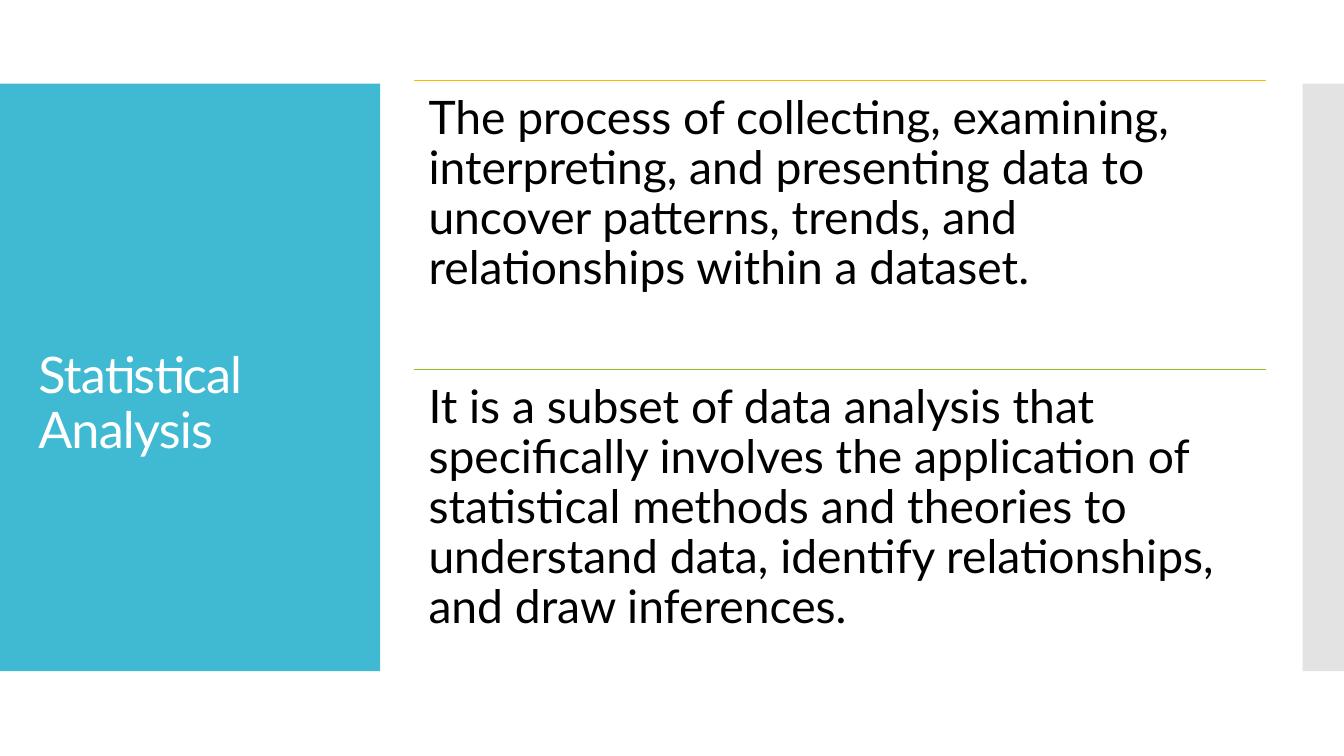
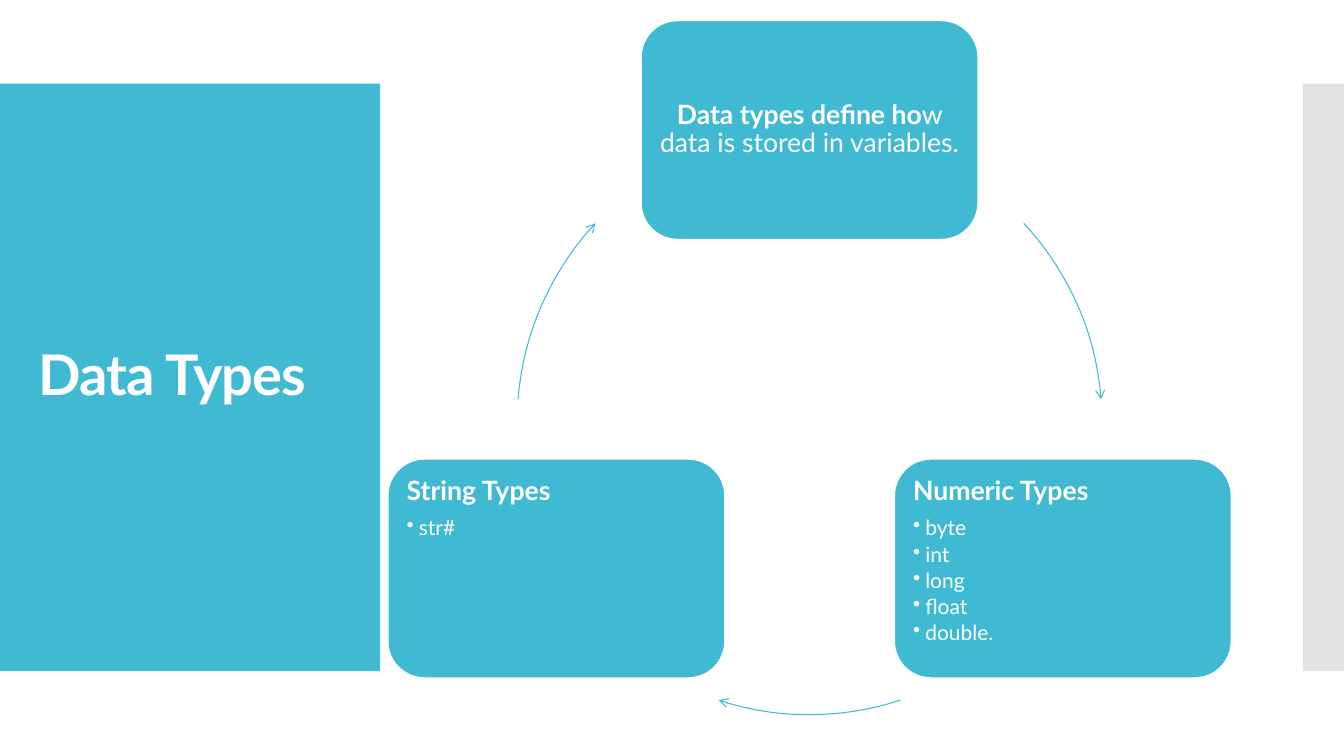
from dataclasses import dataclass
from math import cos, radians, sin

from lxml import etree
from pptx import Presentation
from pptx.dml.color import RGBColor
from pptx.enum.shapes import MSO_CONNECTOR, MSO_SHAPE
from pptx.enum.text import MSO_ANCHOR, MSO_AUTO_SIZE, PP_ALIGN
from pptx.oxml.ns import qn
from pptx.util import Inches, Pt

RECT, ROUND, ARC = MSO_SHAPE.RECTANGLE, MSO_SHAPE.ROUNDED_RECTANGLE, MSO_SHAPE.ARC
STRAIGHT = MSO_CONNECTOR.STRAIGHT
LEFT, CENTER = PP_ALIGN.LEFT, PP_ALIGN.CENTER
TOP, MIDDLE = MSO_ANCHOR.TOP, MSO_ANCHOR.MIDDLE
FIXED = MSO_AUTO_SIZE.NONE


@dataclass(frozen=True)
class Theme:
    """Colours, type sizes and line widths of the deck."""
    font: str = "Lato"
    teal: str = "40BAD2"
    grey: str = "C8C8C8"
    gold: str = "FAB900"
    green: str = "90BB23"
    white: str = "FFFFFF"
    black: str = "000000"
    body: int = 33
    head: int = 19
    item: int = 15
    rule: float = 0.85
    arc: float = 0.75
    leading: float = 0.9


THEME = Theme()
PANEL = (0, 0.83, 3.77, 5.83)
STRIP = (12.92, 0.83, 0.42, 5.83)
TITLE = (0.28, 1.23, 3.22, 5.03)
LIST = (4.11, 0.8, 8.45, 5.73)
CYCLE = (5.13, 1.29, 5.8, 5.8)
CARD = (3.34, 2.17)

POINTS = [
    (THEME.gold, "The process of collecting, examining, interpreting, and presenting "
                 "data to uncover patterns, trends, and relationships within a dataset."),
    (THEME.green, "It is a subset of data analysis that specifically involves the "
                  "application of statistical methods and theories to understand data, "
                  "identify relationships, and draw inferences."),
]
CARDS = [
    ("Data types define ho", "w data is stored in variables.", []),
    ("Numeric Types", "", ["byte", "int", "long", "float", "double."]),
    ("String Types", "", ["str#"]),
]
GAPS = [(47.1, 34.5), (41.9, 41.9), (34.5, 47.1)]


def color(code):
    """Turn a hex code into a colour."""
    return RGBColor.from_string(code)


def inches(box):
    """Turn a box of numbers into lengths."""
    return [Inches(side) for side in box]


def style(para, size, code, bold=False, after=0):
    """Format a paragraph and all its runs."""
    para.line_spacing = THEME.leading
    para.space_before, para.space_after = Pt(0), Pt(after)
    for run in para.runs:
        font = run.font
        font.name, font.size, font.bold = THEME.font, Pt(size), bold
        font.color.rgb = color(code)


def inset(frame, gap):
    """Give a text frame equal margins and wrapping."""
    frame.word_wrap = True
    frame.margin_left = frame.margin_right = Inches(gap)
    frame.margin_top = frame.margin_bottom = Inches(gap)


def block(slide, kind, box, fill):
    """Add a flat filled shape without outline."""
    shape = slide.shapes.add_shape(kind, *inches(box))
    shape.shadow.inherit = False
    shape.fill.solid()
    shape.fill.fore_color.rgb = color(fill)
    shape.line.fill.background()
    return shape


def base(deck, title, size, bold=False, drop=0):
    """Add a slide with its side bands and title."""
    slide = deck.slides.add_slide(deck.slide_layouts[5])
    block(slide, RECT, PANEL, THEME.teal)
    strip = block(slide, RECT, STRIP, THEME.grey)
    tint = strip.fill._xPr.find(qn("a:solidFill"))[0]
    etree.SubElement(tint, qn("a:alpha")).set("val", "50000")
    head = slide.shapes.title
    slide.shapes._spTree.append(head._element)
    head.left, head.top, head.width, head.height = inches(TITLE)
    frame = head.text_frame
    frame.text = title
    frame.auto_size, frame.word_wrap = FIXED, True
    frame.vertical_anchor = MIDDLE
    frame.margin_top = Inches(0.05 + drop)
    para = frame.paragraphs[0]
    para.alignment = LEFT
    style(para, size, THEME.white, bold)
    for run in para.runs:
        run.font._element.set("spc", "-60")
    return slide


def rule(slide, left, top, width, code):
    """Draw a thin level line."""
    line = slide.shapes.add_connector(STRAIGHT, *inches((left, top, left + width, top)))
    line.line.color.rgb = color(code)
    line.line.width = Pt(THEME.rule)
    etree.SubElement(line._element.spPr, qn("a:effectLst"))


def rows(slide, box, points):
    """Stack ruled paragraphs of equal height in a box."""
    left, top, width, height = box
    step = height / len(points)
    for index, (code, text) in enumerate(points):
        y = top + index * step
        rule(slide, left, y, width, code)
        frame = slide.shapes.add_textbox(*inches((left, y, width, step))).text_frame
        inset(frame, 0.14)
        frame.text = text
        style(frame.paragraphs[0], THEME.body, THEME.black)


def bullet(para):
    """Give a paragraph a hanging bullet."""
    props = para._p.get_or_add_pPr()
    props.set("marL", str(Inches(0.12)))
    props.set("indent", str(-Inches(0.12)))
    etree.SubElement(props, qn("a:buChar")).set("char", "•")


def card(slide, box, head, tail, items):
    """Add a rounded card with a heading and bullets."""
    shape = block(slide, ROUND, box, THEME.teal)
    shape.line.color.rgb = color(THEME.white)
    shape.line.width = Pt(THEME.rule)
    frame = shape.text_frame
    inset(frame, 0.08)
    frame.vertical_anchor = TOP if items else MIDDLE
    frame.text = head
    para = frame.paragraphs[0]
    para.alignment = LEFT if items else CENTER
    if tail:
        para.add_run().text = tail
    style(para, THEME.head, THEME.white, True, 8 if items else 0)
    for run in para.runs[1:]:
        run.font.bold = False
    for item in items:
        para = frame.add_paragraph()
        para.text = item
        para.level, para.alignment = 1, LEFT
        style(para, THEME.item, THEME.white, after=2.5)
        bullet(para)


def arrow(slide, box, start, end):
    """Draw a clockwise arc with an arrowhead at its end."""
    arc = slide.shapes.add_shape(ARC, *inches(box))
    arc.shadow.inherit = False
    arc.fill.background()
    for index, angle in enumerate((start, end)):
        arc.adjustments[index] = angle % 360 * 0.6
    arc.line.color.rgb = color(THEME.teal)
    arc.line.width = Pt(THEME.arc)
    etree.SubElement(arc.line._get_or_add_ln(), qn("a:tailEnd")).set("type", "arrow")


def cycle(slide, box, cards, gaps):
    """Set cards evenly round a circle, joined by arrows."""
    left, top, size, _ = box
    radius, step = size / 2, 360 / len(cards)
    wide, high = CARD
    for index, (parts, (after, before)) in enumerate(zip(cards, gaps)):
        angle = index * step - 90
        x = left + radius * (1 + cos(radians(angle)))
        y = top + radius * (1 + sin(radians(angle)))
        card(slide, (x - wide / 2, y - high / 2, wide, high), *parts)
        arrow(slide, box, angle + after, angle + step - before)


def main():
    """Build and save the deck."""
    deck = Presentation()
    deck.slide_width, deck.slide_height = Inches(13.33), Inches(7.5)
    rows(base(deck, "Statistical Analysis", 36, drop=0.54), LIST, POINTS)
    cycle(base(deck, "Data Types", 40, bold=True), CYCLE, CARDS, GAPS)
    deck.save("out.pptx")


if __name__ == "__main__":
    main()
